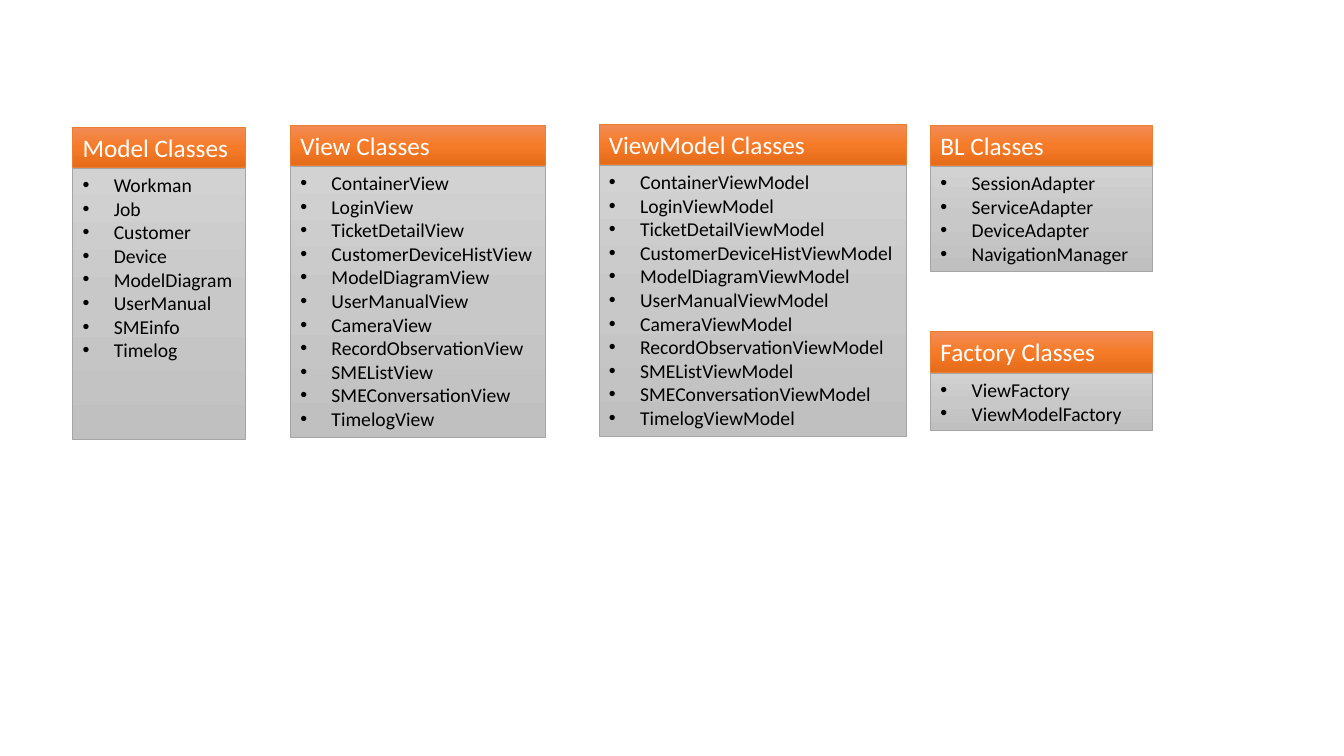
from copy import deepcopy

from pptx import Presentation
from pptx import util as u
from pptx.dml.color import RGBColor
from pptx.enum import shapes, text
from pptx.oxml.xmlchemy import OxmlElement

CELL = 0.1  # inches per grid column and row
HEADER_ROWS = 4
BODY_OFFSET = 4.1
LINE_ROWS = 2.35
PADDING_ROWS = 1

HEADER = {"gradient": ("F18C57", "F67B28", "E56C19"), "line": "ED7D31",
          "font": {"name": "Calibri", "size": u.Pt(18)}, "color": "FFFFFF"}
BODY = {"gradient": ("D2D2D2", "C8C8C8", "C0C0C0"), "line": "A5A5A5",
        "font": {"name": "Calibri", "size": u.Pt(14)}, "color": "000000"}

VIEWS = ["ContainerView", "LoginView", "TicketDetailView",
         "CustomerDeviceHistView", "ModelDiagramView", "UserManualView",
         "CameraView", "RecordObservationView", "SMEListView",
         "SMEConversationView", "TimelogView"]

# title, column, row, width, lines of height, wrap, class names
GROUPS = [
    ("Model Classes", 7.2, 12.6, 17.1, 11, False,
     ["Workman", "Job", "Customer", "Device", "ModelDiagram", "UserManual",
      "SMEinfo", "Timelog"]),
    ("View Classes", 28.8, 12.4, 25.3, 11, False, VIEWS),
    ("ViewModel Classes", 59.4, 12.3, 30.5, 11, False,
     [view + "Model" for view in VIEWS]),
    ("BL Classes", 92.3, 12.4, 22, 4, True,
     ["SessionAdapter", "ServiceAdapter", "DeviceAdapter",
      "NavigationManager"]),
    ("Factory Classes", 92.3, 32.9, 22, 2, True,
     ["ViewFactory", "ViewModelFactory"]),
]


def rgb(value):
    return RGBColor.from_string(value)


def grid(cells):
    return u.Inches(cells * CELL)


def apply(target, values):
    for name, value in values.items():
        setattr(target, name, value)


class ClassSlide:
    def __init__(self, presentation):
        self.slide = presentation.slides.add_slide(presentation.slide_layouts[6])

    def gradient(self, fill, colors):
        """Fill from top to bottom with three evenly spaced colours."""
        fill.gradient()
        fill.gradient_angle = 270
        first = fill.gradient_stops[0]._gs
        first.addnext(deepcopy(first))
        for index, (stop, color) in enumerate(zip(fill.gradient_stops, colors)):
            stop.position = index / 2
            stop.color.rgb = rgb(color)

    def bullet(self, paragraph):
        properties = paragraph._p.get_or_add_pPr()
        properties.set("marL", str(u.Inches(0.31)))
        properties.set("indent", str(u.Inches(-0.31)))
        font = OxmlElement("a:buFont")
        font.set("typeface", "Arial")
        character = OxmlElement("a:buChar")
        character.set("char", "•")
        properties.extend([font, character])

    def box(self, position, style, lines, wrap=True, bullets=False):
        shape = self.slide.shapes.add_shape(
            shapes.MSO_SHAPE.RECTANGLE, *map(grid, position))
        shape.shadow.inherit = False
        self.gradient(shape.fill, style["gradient"])
        shape.line.color.rgb = rgb(style["line"])
        shape.line.width = u.Pt(0.5)
        frame = shape.text_frame
        frame.text = "\n".join(lines)
        apply(frame, {"word_wrap": wrap,
                      "vertical_anchor": text.MSO_ANCHOR.TOP,
                      "auto_size": text.MSO_AUTO_SIZE.SHAPE_TO_FIT_TEXT})
        for paragraph in frame.paragraphs:
            paragraph.alignment = text.PP_ALIGN.LEFT
            font = paragraph.runs[0].font
            apply(font, style["font"])
            font.color.rgb = rgb(style["color"])
            if bullets:
                self.bullet(paragraph)

    def group(self, title, column, row, width, line_count, wrap, names):
        height = PADDING_ROWS + LINE_ROWS * line_count
        self.box((column, row + BODY_OFFSET, width, height), BODY, names,
                 wrap, bullets=True)
        self.box((column, row, width, HEADER_ROWS), HEADER, [title])


def main():
    presentation = Presentation()
    apply(presentation, {"slide_width": u.Inches(13.33),
                         "slide_height": u.Inches(7.5)})
    class_slide = ClassSlide(presentation)
    for group in GROUPS:
        class_slide.group(*group)
    presentation.save("out.pptx")


if __name__ == "__main__":
    main()
